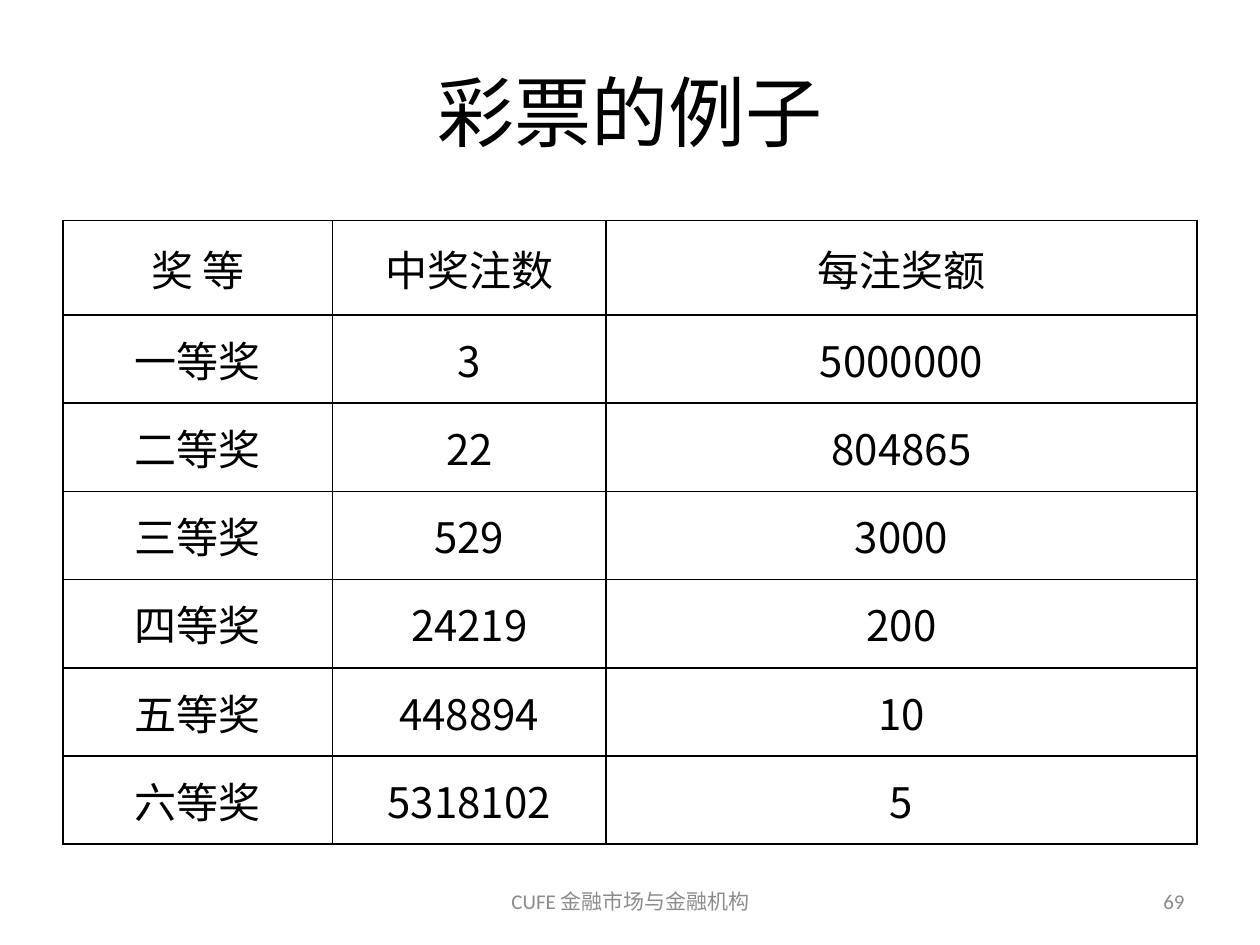
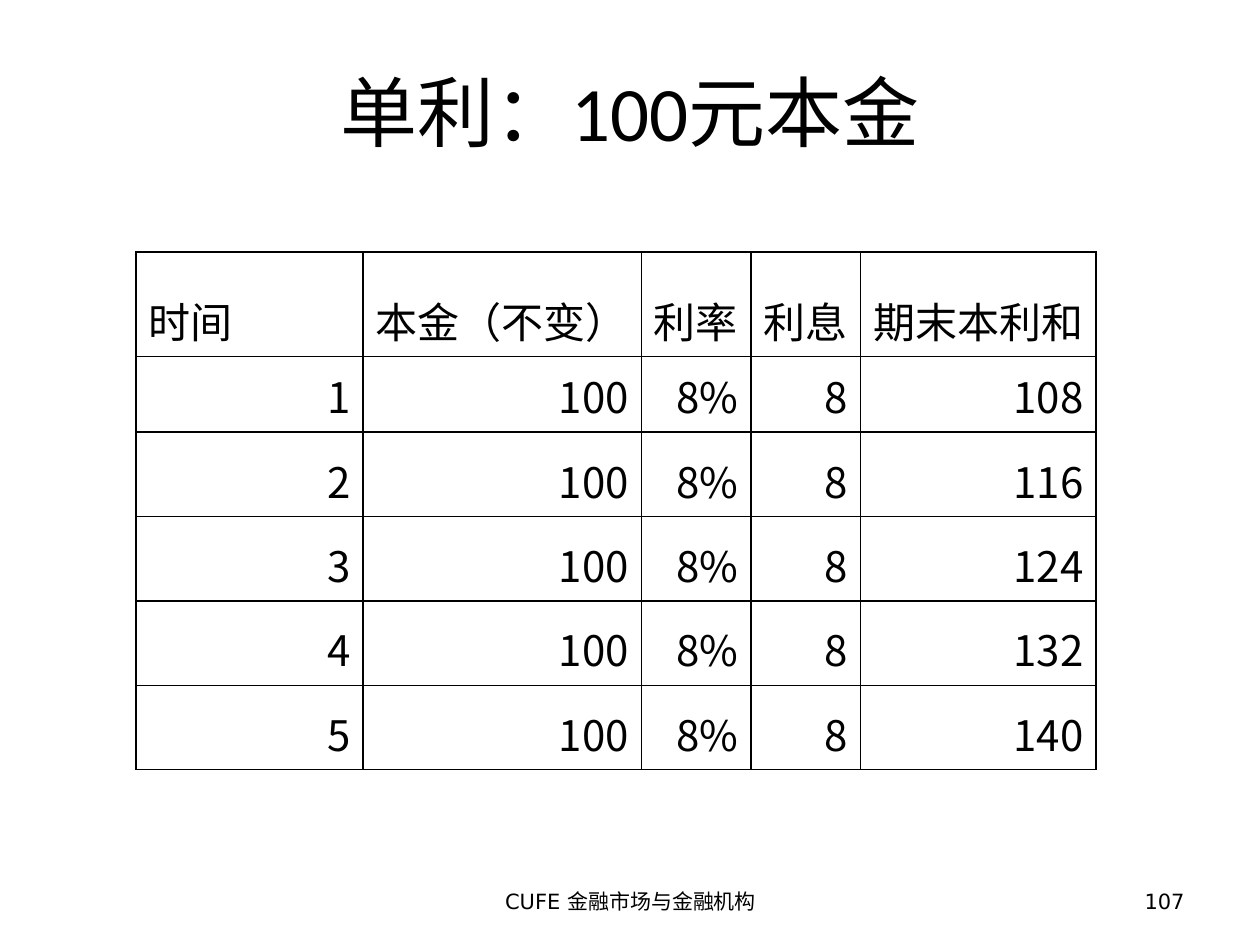
import pptx
import pptx.util
import pptx.dml.color
import pptx.enum.text
import pptx.oxml.ns
from lxml import etree

Inches, Pt = pptx.util.Inches, pptx.util.Pt
ALIGN = pptx.enum.text.PP_ALIGN
ANCHOR = pptx.enum.text.MSO_ANCHOR
qn = pptx.oxml.ns.qn

W, H = 10, 7.5
COLORS = {"text": "000000", "muted": "8C8C8C", "back": "FFFFFF"}
CJK = "Noto Sans CJK SC"
FOOTER = "CUFE 金融市场与金融机构"
HANG = Inches(0.38)


def write(tf, text, size, font, color, align, anchor=ANCHOR.MIDDLE):
    """Write one styled run into a text frame and return its paragraph."""
    tf.word_wrap = True
    tf.vertical_anchor = anchor
    p = tf.paragraphs[0]
    p.alignment = align
    r = p.add_run()
    r.text = text
    r.font.size = Pt(size)
    r.font.name = font
    r.font.color.rgb = pptx.dml.color.RGBColor.from_string(COLORS[color])
    ea = etree.SubElement(r.font._element, qn("a:ea"))
    ea.set("typeface", CJK)
    return p


def add_title(s, text):
    """Place and fill the title placeholder."""
    sp = s.shapes.title
    sp.left, sp.top = Inches(W * 0.05), Inches(0.25)
    sp.width, sp.height = Inches(W * 0.9), Inches(H / 6)
    write(sp.text_frame, text, 44, "Calibri", "text", ALIGN.CENTER)


def add_footer(s, number, font, color):
    """Add the course name and the page number."""
    for text, left, width, align in (
        (FOOTER, 3.42, 3.17, ALIGN.CENTER),
        (str(number), 7.17, 2.33, ALIGN.RIGHT),
    ):
        sp = s.shapes.add_textbox(Inches(left), Inches(6.95), Inches(width), Inches(0.4))
        write(sp.text_frame, text, 12, font, color, align)


def add_borders(cell):
    """Draw a one-point line on all four sides of a cell."""
    tcPr = cell._tc.get_or_add_tcPr()
    for i, side in enumerate(("lnL", "lnR", "lnT", "lnB")):
        ln = etree.Element(qn("a:" + side), w=str(Pt(1)))
        fill = etree.SubElement(ln, qn("a:solidFill"))
        etree.SubElement(fill, qn("a:srgbClr"), val=COLORS["text"])
        tcPr.insert(i, ln)


def add_grid(s, left, top, cols, heights, rows, anchor, head_align, body_align):
    """Add a ruled table with a header row."""
    frame = s.shapes.add_table(len(rows), len(cols), Inches(left), Inches(top),
                               Inches(sum(cols)), Inches(sum(heights)))
    table = frame.table
    table.first_row = table.horz_banding = False
    for column, width in zip(table.columns, cols):
        column.width = Inches(width)
    for i, (row, height) in enumerate(zip(rows, heights)):
        table.rows[i].height = Inches(height)
        for j, value in enumerate(row):
            cell = table.cell(i, j)
            cell.fill.solid()
            cell.fill.fore_color.rgb = pptx.dml.color.RGBColor.from_string(COLORS["back"])
            p = write(cell.text_frame, str(value), 24, CJK, "text",
                      body_align if i else head_align)
            cell.vertical_anchor = anchor
            pPr = p._p.get_or_add_pPr()
            pPr.set("marL", str(HANG))
            pPr.set("indent", str(-HANG))
            add_borders(cell)


def add_slide(prs, title, number, font, color):
    """Add a slide with its title and footer."""
    s = prs.slides.add_slide(prs.slide_layouts[5])
    add_title(s, title)
    add_footer(s, number, font, color)
    return s


def main():
    """Build both slides and save them."""
    prs = pptx.Presentation()
    prs.slide_width, prs.slide_height = Inches(W), Inches(H)

    prizes = [
        ("奖 等", "中奖注数", "每注奖额"),
        ("一等奖", 3, 5000000),
        ("二等奖", 22, 804865),
        ("三等奖", 529, 3000),
        ("四等奖", 24219, 200),
        ("五等奖", 448894, 10),
        ("六等奖", 5318102, 5),
    ]
    s = add_slide(prs, "彩票的例子", 69, "Calibri", "muted")
    add_grid(s, 0.5, 1.75, (2.14, 2.17, 4.69), [0.75] + [0.7] * 6, prizes,
             ANCHOR.MIDDLE, ALIGN.CENTER, ALIGN.CENTER)

    principal, rate = 100, 8
    interest = principal * rate // 100
    growth = [("时间", "本金（不变）", "利率", "利息", "期末本利和")]
    growth += [(year, principal, f"{rate}%", interest, principal + interest * year)
               for year in range(1, 6)]
    s = add_slide(prs, "单利：100元本金", 107, "DejaVu Sans", "text")
    add_grid(s, 1.08, 2, (1.8, 2.21, 0.87, 0.87, 1.87), [0.83, 0.6] + [0.67] * 4, growth,
             ANCHOR.BOTTOM, ALIGN.LEFT, ALIGN.RIGHT)

    prs.save("out.pptx")


if __name__ == "__main__":
    main()
